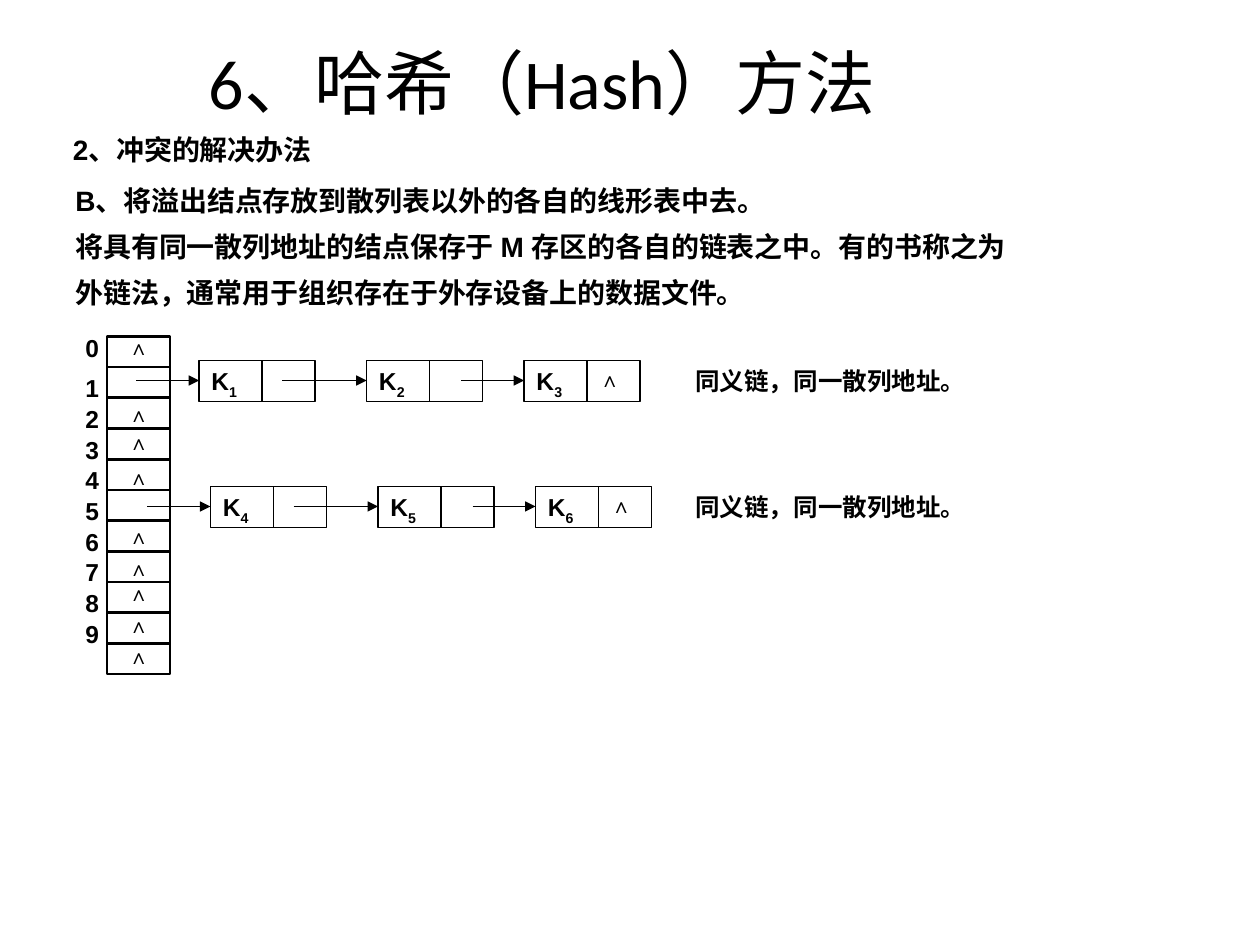
from pptx import Presentation
from pptx.dml.color import RGBColor
from pptx.enum import shapes, text
from pptx.oxml.ns import qn
from pptx.util import Inches, Pt
from lxml import etree

BLACK = RGBColor(0x00, 0x00, 0x00)
WHITE = RGBColor(0xFF, 0xFF, 0xFF)

CARET = "∧"
ROW_COUNT = 11
CARET_TOPS = [-0.06, 0.47, 0.69, 0.97, 1.44, 1.69, 1.89, 2.14, 2.39]
NODE_OFFSETS = [0, 1.33, 2.58]
ARROW_LENGTHS = [0.5, 0.67, 0.5]
NODE_WIDTH, NODE_HEIGHT, KEY_WIDTH = 0.92, 0.33, 0.5


def add_text(slide, box, paragraphs, size=14, font="Arial", bold=True, indent=0,
             line_spacing=None, space_before=0, wrap=True,
             anchor=text.MSO_ANCHOR.TOP):
    shape = slide.shapes.add_textbox(*map(Inches, box))
    frame = shape.text_frame
    frame.word_wrap = wrap
    frame.vertical_anchor = anchor
    for index, runs in enumerate(paragraphs):
        paragraph = frame.paragraphs[0] if index == 0 else frame.add_paragraph()
        if indent:
            paragraph._p.get_or_add_pPr().set("marL", str(Inches(indent)))
        if line_spacing:
            paragraph.line_spacing = line_spacing
        if index:
            paragraph.space_before = Pt(space_before)
        for position, content in enumerate(runs):
            run = paragraph.add_run()
            run.text = content
            run.font.name = font
            run.font.size = Pt(size)
            run.font.bold = bold
            run.font.color.rgb = BLACK
            if position:
                run.font._element.set("baseline", "-25000")
    return shape


def add_box(slide, box, line_width):
    shape = slide.shapes.add_shape(shapes.MSO_SHAPE.RECTANGLE, *map(Inches, box))
    shape.shadow.inherit = False
    shape.fill.solid()
    shape.fill.fore_color.rgb = WHITE
    shape.line.color.rgb = BLACK
    shape.line.width = Pt(line_width)


def add_line(slide, start, end, line_width=0.75, arrow=False):
    connector = slide.shapes.add_connector(
        shapes.MSO_CONNECTOR.STRAIGHT, *map(Inches, (*start, *end)))
    connector.line.color.rgb = BLACK
    connector.line.width = Pt(line_width)
    if arrow:
        line = connector.line._get_or_add_ln()
        etree.SubElement(line, qn("a:tailEnd"), type="triangle")
    etree.SubElement(connector._element.spPr, qn("a:effectLst"))


def add_caret(slide, left, top):
    add_text(slide, (left, top, 0.33, 0.3), [[CARET]], size=12)


def add_hash_table(slide, left, top, width, height):
    row_height = height / ROW_COUNT
    add_box(slide, (left, top, width, height), 1.5)
    for row in range(1, ROW_COUNT):
        y = top + row * row_height
        add_line(slide, (left, y), (left + width, y), 1.5)
    for address in range(ROW_COUNT - 1):
        label_top = top + address * row_height if address else top - 0.08
        add_text(slide, (left - 0.27, label_top, 0.2, 0.34), [[str(address)]])
    for offset in CARET_TOPS:
        add_caret(slide, left + 0.07, top + offset)


def add_node(slide, left, top, subscript):
    divider = left + KEY_WIDTH
    add_box(slide, (left, top, NODE_WIDTH, NODE_HEIGHT), 0.75)
    add_line(slide, (divider, top), (divider, top + NODE_HEIGHT))
    add_text(slide, (left, top, KEY_WIDTH, 0.37), [["K", subscript]])


def add_chain(slide, left, top, subscripts):
    for offset, subscript in zip(NODE_OFFSETS, subscripts):
        add_node(slide, left + offset, top, subscript)
    add_caret(slide, left + NODE_OFFSETS[-1] + KEY_WIDTH, top)
    y = top + 0.16
    for offset, length in zip(NODE_OFFSETS, ARROW_LENGTHS):
        tip = left + offset
        add_line(slide, (tip - length, y), (tip, y), arrow=True)
    add_text(slide, (5.42, top, 2.58, 0.34), [["同义链，同一散列地址。"]])


def add_explanation(slide):
    add_text(slide, (1.56, 0.32, 7.55, 0.74), [["6、哈希（Hash）方法"]],
             size=40, font="Calibri", bold=False, line_spacing=0.9,
             anchor=text.MSO_ANCHOR.MIDDLE)
    add_text(slide, (-0.02, 1, 2.65, 0.37), [["2、冲突的解决办法"]],
             size=16, indent=0.5, wrap=False)
    add_text(slide, (0, 1.45, 9.08, 1.06), [
        ["B、将溢出结点存放到散列表以外的各自的线形表中去。"],
        ["将具有同一散列地址的结点保存于 M 存区的各自的链表之中。有的书称之为"],
        ["外链法，通常用于组织存在于外存设备上的数据文件。"],
    ], size=16, indent=0.5, line_spacing=0.85, space_before=10)


def main():
    presentation = Presentation()
    presentation.slide_width = Inches(10)
    presentation.slide_height = Inches(7.5)
    slide = presentation.slides.add_slide(presentation.slide_layouts[6])
    add_explanation(slide)
    add_hash_table(slide, 0.85, 2.67, 0.5, 2.68)
    add_chain(slide, 1.58, 2.86, "123")
    add_chain(slide, 1.67, 3.86, "456")
    presentation.save("out.pptx")


if __name__ == "__main__":
    main()
